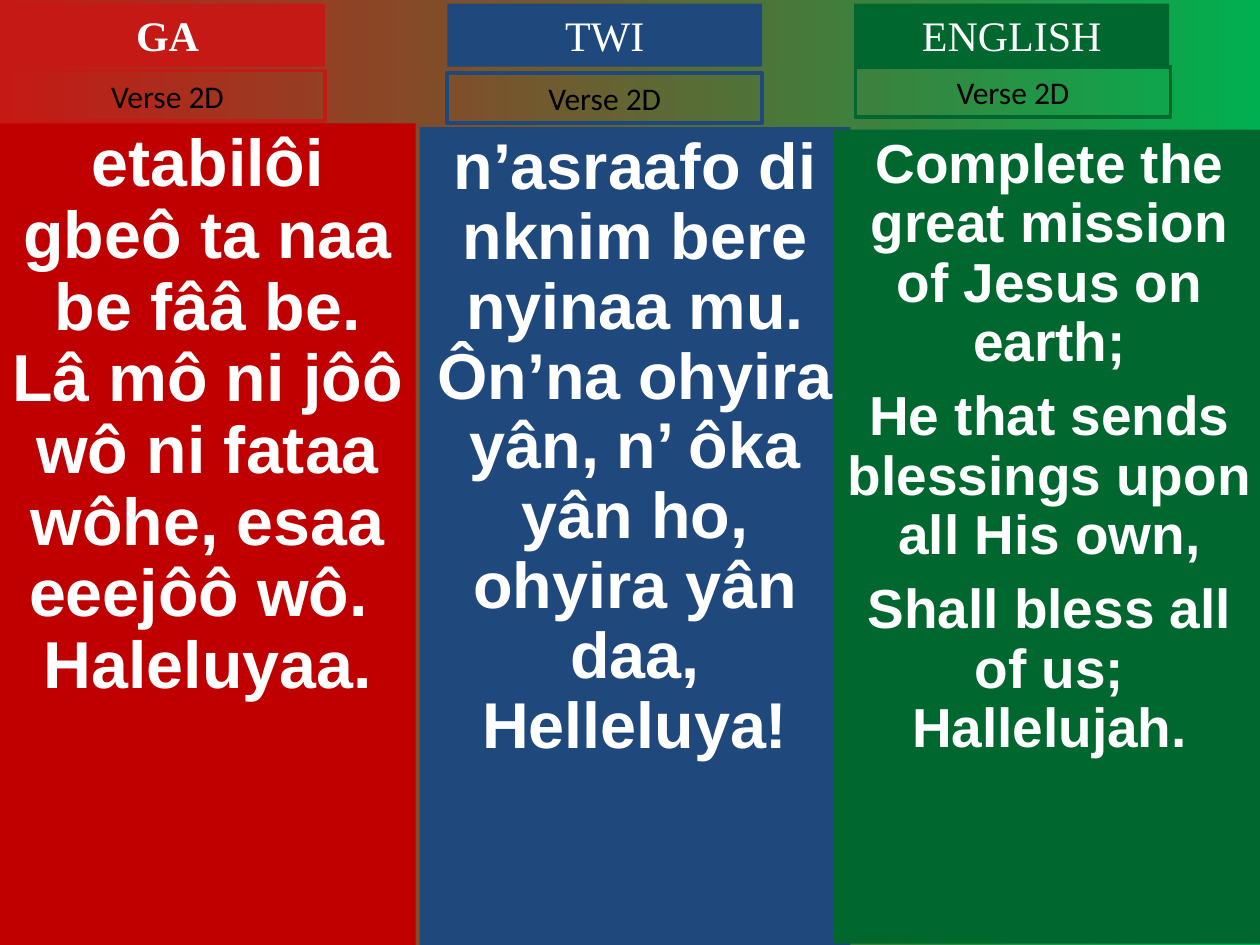
from dataclasses import dataclass

from pptx import Presentation
from pptx.dml.color import RGBColor
from pptx.enum.shapes import MSO_SHAPE
from pptx.enum.text import MSO_ANCHOR, PP_ALIGN
from pptx.util import Inches, Pt


@dataclass(frozen=True)
class Theme:
    backdrop: tuple[str, str] = ("C51915", "00B050")
    light: str = "FFFFFF"
    dark: str = "000000"
    heading_font: str = "Times New Roman"
    verse_font: str = "Calibri"
    lyric_font: str = "Arial"
    heading_size: float = 24
    verse_size: float = 18
    border: float = 2.25


@dataclass(frozen=True)
class Area:
    column: float
    row: float
    columns: float
    rows: float


@dataclass(frozen=True)
class Language:
    name: str
    accent: str
    panel: str
    heading: Area
    verse: Area
    body: Area
    lyrics: tuple[str, ...]
    size: float
    gap: float = 0
    bold_heading: bool = False


THEME = Theme()
WIDTH, HEIGHT = Inches(10), Inches(7.5)
COLUMNS, ROWS = 100, 75
VERSE = "Verse 2D"

LANGUAGES = (
    Language(
        "GA", "C51915", "C00000",
        Area(0.8, 0.3, 25, 5), Area(0.8, 5.6, 25, 4), Area(0, 9.8, 33, 65.2),
        ("etabilôi gbeô ta naa be fââ be.",
         "Lâ mô ni jôô wô ni fataa wôhe, esaa eeejôô wô.  Haleluyaa."),
        37.9, bold_heading=True,
    ),
    Language(
        "TWI", "1F497D", "1F497D",
        Area(35.5, 0.3, 25, 5), Area(35.5, 5.8, 25, 4), Area(33.3, 10.1, 34.2, 64.9),
        ("n’asraafo di nknim bere nyinaa mu.",
         "Ôn’na ohyira yân, n’ ôka yân ho, ohyira yân daa, Helleluya!"),
        37,
    ),
    Language(
        "ENGLISH", "00682F", "00682F",
        Area(67.8, 0.3, 25, 5), Area(67.9, 5.3, 25, 4), Area(66.2, 10.3, 34.2, 64.6),
        ("Complete the great mission of Jesus on earth;",
         "He that sends blessings upon all His own,",
         "Shall bless all of us; Hallelujah."),
        31.4, gap=8.5,
    ),
)


def rgb(value: str) -> RGBColor:
    return RGBColor.from_string(value)


def add_rectangle(page, area: Area, fill: str | None = None, line: str | None = None):
    box = page.shapes.add_shape(
        MSO_SHAPE.RECTANGLE,
        round(WIDTH * area.column / COLUMNS),
        round(HEIGHT * area.row / ROWS),
        round(WIDTH * area.columns / COLUMNS),
        round(HEIGHT * area.rows / ROWS),
    )
    box.shadow.inherit = False
    if fill:
        box.fill.solid()
        box.fill.fore_color.rgb = rgb(fill)
    else:
        box.fill.background()
    if line:
        box.line.color.rgb = rgb(line)
        box.line.width = Pt(THEME.border)
    else:
        box.line.fill.background()
    return box


def write(box, *texts: str, font: str, size: float, color: str, bold: bool = False,
          spacing: float = 1.0, gap: float = 0, margin: float = 0.1) -> None:
    frame = box.text_frame
    frame.word_wrap = True
    frame.vertical_anchor = MSO_ANCHOR.TOP
    frame.margin_left = frame.margin_right = Inches(margin)
    frame.margin_top = frame.margin_bottom = Inches(0.05)
    for index, text in enumerate(texts):
        para = frame.add_paragraph() if index else frame.paragraphs[0]
        para.alignment = PP_ALIGN.CENTER
        para.line_spacing = spacing
        para.space_before = Pt(gap if index else 0)
        span = para.add_run()
        span.text = text
        span.font.name = font
        span.font.size = Pt(size)
        span.font.bold = bold
        span.font.color.rgb = rgb(color)


def paint_background(page) -> None:
    fill = page.background.fill
    fill.gradient()
    fill.gradient_angle = 0
    for stop, color, position in zip(fill.gradient_stops, THEME.backdrop, (0, 1)):
        stop.color.rgb = rgb(color)
        stop.position = position


def add_language(page, language: Language) -> None:
    body = add_rectangle(page, language.body, fill=language.panel)
    write(body, *language.lyrics, font=THEME.lyric_font, size=language.size,
          color=THEME.light, bold=True, spacing=0.9, gap=language.gap, margin=0.08)
    heading = add_rectangle(page, language.heading, fill=language.accent)
    write(heading, language.name, font=THEME.heading_font, size=THEME.heading_size,
          color=THEME.light, bold=language.bold_heading)
    verse = add_rectangle(page, language.verse, line=language.accent)
    write(verse, VERSE, font=THEME.verse_font, size=THEME.verse_size, color=THEME.dark)


def main() -> None:
    deck = Presentation()
    deck.slide_width, deck.slide_height = WIDTH, HEIGHT
    page = deck.slides.add_slide(deck.slide_layouts[6])
    paint_background(page)
    for language in LANGUAGES:
        add_language(page, language)
    deck.save("out.pptx")


if __name__ == "__main__":
    main()
